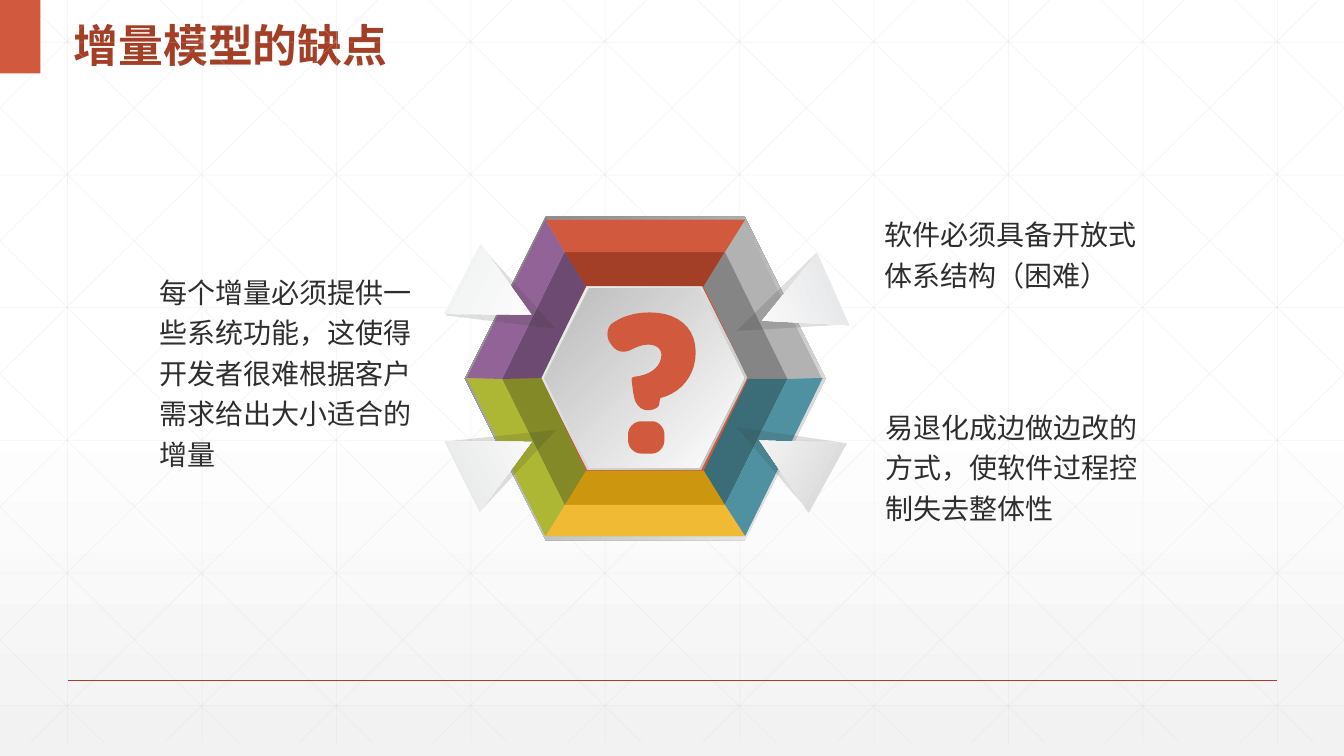
from dataclasses import dataclass

import lxml.etree
import pptx
import pptx.dml.color
import pptx.enum.shapes
import pptx.enum.text
import pptx.oxml.ns
import pptx.util

Inches = pptx.util.Inches
Pt = pptx.util.Pt
qn = pptx.oxml.ns.qn
Shape = pptx.enum.shapes.MSO_SHAPE
Point = tuple[float, float]
Stop = tuple[int, str, int]

WIDTH, HEIGHT = 13.33, 7.5
GRID_BOTTOM = 7.37
GRID_STEP = 4 / 3
FONT = "Noto Sans CJK SC"
COLORS = {
    "white": "FFFFFF", "paper": "F2F2F2", "grid": "D9D9D9", "ink": "2D2E2D",
    "red": "D15A3E", "dark red": "A43F27", "silver": "B2B2B2", "dark silver": "858585",
    "teal": "4F91A1", "dark teal": "3B6D79", "gold": "F0BA34", "dark gold": "CC960F",
    "green": "AEB733", "dark green": "828926", "purple": "926397", "dark purple": "6D4A71",
    "rim": "808080", "well": "BFBFBF", "well shade": "BABABA", "arrow shadow": "373937",
    "arrow 1": "D3D3D4", "arrow 2": "E2E3E4", "arrow 3": "E4E5E6", "arrow 4": "F0F1F1",
}


@dataclass
class Hexagon:
    left: float
    top: float
    width: float
    height: float
    color: str = ""
    stops: tuple[Stop, ...] = ()
    angle: int = 0


@dataclass
class Arrow:
    shadow: Point
    head: Point
    rotation: float
    tint: str


@dataclass
class Drawback:
    left: float
    top: float
    width: float
    height: float
    text: str


HEXAGONS = [
    Hexagon(4.61, 2.15, 3.58, 3.21, stops=((0, "rim", 100), (100, "paper", 100)), angle=45),
    Hexagon(4.65, 2.18, 3.5, 3.14, "silver"),
    Hexagon(5, 2.5, 2.8, 2.51, "red"),
    Hexagon(5.37, 2.83, 2.04, 1.83, stops=((0, "well", 100), (100, "paper", 100)), angle=225),
    Hexagon(5.4, 2.86, 1.98, 1.78, stops=((0, "white", 100), (100, "well shade", 100)), angle=225),
]
# Corners run clockwise from the upper left one.
INNER = [(5.81, 2.84), (6.98, 2.84), (7.42, 3.76), (6.98, 4.67), (5.81, 4.67), (5.37, 3.75)]
MIDDLE = [(5.6, 2.5), (7.19, 2.5), (7.81, 3.76), (7.19, 5.01), (5.6, 5.01), (4.98, 3.76)]
OUTER = [(5.41, 2.18), (7.39, 2.18), (8.16, 3.75), (7.39, 5.32), (5.41, 5.32), (4.63, 3.75)]
INNER_COLORS = ["dark red", "dark silver", "dark teal", "dark gold", "dark green", "dark purple"]
OUTER_COLORS = ["red", "", "teal", "gold", "green", "purple"]
ARROWS = [
    Arrow((7.37, 3.97), (7.48, 4.17), 298.8, "arrow 1"),
    Arrow((7.39, 2.56), (7.52, 2.64), 246.1, "arrow 2"),
    Arrow((4.67, 3.98), (4.54, 4.17), 63.5, "arrow 3"),
    Arrow((4.67, 2.51), (4.54, 2.56), 117.4, "arrow 4"),
]
# A step of one point is a line, a step of three points is a cubic curve.
QUESTION_DOT = [
    (6.36, 4.18), [(6.47, 4.18)], [(6.53, 4.18), (6.59, 4.24), (6.59, 4.31)],
    [(6.59, 4.37)], [(6.59, 4.44), (6.53, 4.5), (6.47, 4.5)],
    [(6.36, 4.5)], [(6.29, 4.5), (6.23, 4.44), (6.23, 4.37)],
    [(6.23, 4.31)], [(6.23, 4.24), (6.29, 4.18), (6.36, 4.18)],
]
QUESTION_HOOK = [
    (6.45, 3.1), [(6.72, 3.1), (6.9, 3.25), (6.9, 3.49)], [(6.9, 3.5)],
    [(6.9, 3.73), (6.75, 3.9), (6.55, 3.95)], [(6.55, 3.95), (6.54, 3.98), (6.54, 4.01)],
    [(6.53, 4.05), (6.48, 4.07), (6.42, 4.07)], [(6.36, 4.07), (6.3, 4.01), (6.29, 3.94)],
    [(6.28, 3.89)], [(6.27, 3.81), (6.26, 3.75), (6.27, 3.75)],
    [(6.28, 3.74)], [(6.49, 3.72), (6.56, 3.61), (6.56, 3.52)],
    [(6.56, 3.46), (6.51, 3.42), (6.43, 3.42)], [(6.37, 3.42), (6.32, 3.44), (6.26, 3.47)],
    [(6.2, 3.5), (6.13, 3.5), (6.08, 3.44)], [(6.05, 3.4)],
    [(6.01, 3.34), (6.02, 3.25), (6.07, 3.21)], [(6.17, 3.14), (6.29, 3.1), (6.45, 3.1)],
]
DRAWBACKS = [
    Drawback(8.78, 4, 2.68, 1.51, "易退化成边做边改的方式，使软件过程控制失去整体性"),
    Drawback(8.77, 2.09, 2.69, 1.25, "软件必须具备开放式体系结构（困难）"),
    Drawback(1.58, 2.66, 2.66, 2.32, "每个增量必须提供一些系统功能，这使得开发者很难根据客户需求给出大小适合的增量"),
]


def rgb(name: str) -> pptx.dml.color.RGBColor:
    return pptx.dml.color.RGBColor.from_string(COLORS[name])


def set_opacity(color_element, percent: int) -> None:
    lxml.etree.SubElement(color_element, qn("a:alpha"), val=str(percent * 1000))


def set_gradient(fill, owner, stops: tuple[Stop, ...], angle: int) -> None:
    """Fill with stops of position, colour and opacity; the angle runs clockwise."""
    fill.gradient()
    fill.gradient_angle = (360 - angle) % 360
    stop_list = next(owner.iter(qn("a:gsLst")))
    for old_stop in list(stop_list):
        stop_list.remove(old_stop)
    for position, name, opacity in stops:
        stop = lxml.etree.SubElement(stop_list, qn("a:gs"), pos=str(position * 1000))
        color = lxml.etree.SubElement(stop, qn("a:srgbClr"), val=COLORS[name])
        if opacity < 100:
            set_opacity(color, opacity)


def finish(shape, color: str = "") -> None:
    """Remove the shadow and outline, and apply a plain fill if one is named."""
    shape.shadow.inherit = False
    shape.line.fill.background()
    if color:
        shape.fill.solid()
        shape.fill.fore_color.rgb = rgb(color)


def add_preset(slide, kind, left: float, top: float, width: float, height: float, color: str = ""):
    shape = slide.shapes.add_shape(kind, Inches(left), Inches(top), Inches(width), Inches(height))
    finish(shape, color)
    return shape


def add_line(slide, start: Point, end: Point, color: str, weight: float, opacity: int = 100) -> None:
    line = slide.shapes.add_connector(
        pptx.enum.shapes.MSO_CONNECTOR.STRAIGHT, *(Inches(value) for value in (*start, *end)))
    line.line.color.rgb = rgb(color)
    line.line.width = Pt(weight)
    properties = line._element.spPr
    if opacity < 100:
        set_opacity(next(properties.iter(qn("a:srgbClr"))), opacity)
    lxml.etree.SubElement(properties, qn("a:effectLst"))


def add_grid(slide) -> None:
    ends = []
    for column in range(10):
        x = 0.67 + column * GRID_STEP
        ends.append(((x, 0), (x, GRID_BOTTOM)))
    for row in range(6):
        y = 0.42 + row * 1.316
        ends.append(((0, y), (WIDTH, y)))
    slope = GRID_BOTTOM / 7.45
    for index in range(-5, 10):
        x = 0.25 + index * GRID_STEP
        start = (max(x, 0), max(-x, 0) * slope)
        end_x = min(x + 7.45, WIDTH)
        end = (end_x, (end_x - x) * slope)
        ends.append((start, end))
        ends.append(((WIDTH - start[0], start[1]), (WIDTH - end[0], end[1])))
    for start, end in ends:
        add_line(slide, start, end, "grid", 0.5, 25)


def flatten(outline: list) -> list[Point]:
    """Turn lines and cubic curves into a list of points."""
    points = [outline[0]]
    for step in outline[1:]:
        if len(step) == 1:
            points += step
            continue
        corners = [points[-1], *step]
        for t in (part / 10 for part in range(1, 11)):
            weights = ((1 - t) ** 3, 3 * t * (1 - t) ** 2, 3 * t * t * (1 - t), t ** 3)
            points.append(tuple(sum(w * c[axis] for w, c in zip(weights, corners)) for axis in (0, 1)))
    return points


def add_outline(slide, contours: list[list[Point]], color: str) -> None:
    scaled = [[(Inches(x), Inches(y)) for x, y in contour] for contour in contours]
    builder = slide.shapes.build_freeform(*scaled[0][0])
    builder.add_line_segments(scaled[0][1:], close=True)
    for contour in scaled[1:]:
        builder.move_to(*contour[0])
        builder.add_line_segments(contour[1:], close=True)
    finish(builder.convert_to_shape(), color)


def add_ring(slide, near: list[Point], far: list[Point], colors: list[str]) -> None:
    for side, color in enumerate(colors):
        following = (side + 1) % 6
        if color:
            add_outline(slide, [[near[side], near[following], far[following], far[side]]], color)


def add_arrow(slide, arrow: Arrow) -> None:
    shadow = add_preset(slide, Shape.ISOSCELES_TRIANGLE, *arrow.shadow, 0.77, 1.03, "arrow shadow")
    set_opacity(next(shadow._element.spPr.iter(qn("a:srgbClr"))), 16)
    head = add_preset(slide, Shape.ISOSCELES_TRIANGLE, *arrow.head, 0.78, 0.77)
    set_gradient(head.fill, head._element, ((0, "white", 100), (100, arrow.tint, 100)), 90)
    shadow.rotation = head.rotation = arrow.rotation


def add_text(para, text: str, size: int, latin: str, color: str, bold: bool = False) -> None:
    span = para.add_run()
    span.text = text
    span.font.size = Pt(size)
    span.font.bold = bold
    span.font.color.rgb = rgb(color)
    span.font.name = latin
    lxml.etree.SubElement(span._r.get_or_add_rPr(), qn("a:ea"), typeface=FONT)


def add_title(slide, text: str) -> None:
    title = slide.shapes.title
    title.left, title.top, title.width, title.height = (Inches(v) for v in (0.63, 0, 5.69, 0.73))
    frame = title.text_frame
    frame.auto_size = pptx.enum.text.MSO_AUTO_SIZE.NONE
    frame.vertical_anchor = pptx.enum.text.MSO_ANCHOR.MIDDLE
    para = frame.paragraphs[0]
    para.alignment = pptx.enum.text.PP_ALIGN.LEFT
    para.line_spacing = 1.3
    add_text(para, text, 32, "Arial", "dark red", True)


def add_drawback(slide, item: Drawback) -> None:
    box = slide.shapes.add_textbox(*(Inches(v) for v in (item.left, item.top, item.width, item.height)))
    frame = box.text_frame
    frame.word_wrap = True
    frame.margin_left = frame.margin_right = frame.margin_top = frame.margin_bottom = 0
    para = frame.paragraphs[0]
    para.line_spacing = Pt(29)
    add_text(para, item.text, 20, FONT, "ink")


def main() -> None:
    deck = pptx.Presentation()
    deck.slide_width, deck.slide_height = Inches(WIDTH), Inches(HEIGHT)
    page = deck.slides.add_slide(deck.slide_layouts.get_by_name("Title Only"))
    set_gradient(page.background.fill, page._element,
                 ((0, "white", 100), (53, "white", 100), (100, "paper", 65)), 90)
    add_grid(page)
    add_line(page, (0.67, 6.75), (12.67, 6.75), "dark red", 1)
    add_preset(page, Shape.RECTANGLE, 0, 0, 0.4, 0.73, "red")
    add_title(page, "增量模型的缺点")
    for item in HEXAGONS:
        hexagon = add_preset(page, Shape.HEXAGON, item.left, item.top, item.width, item.height, item.color)
        if item.stops:
            set_gradient(hexagon.fill, hexagon._element, item.stops, item.angle)
    add_ring(page, INNER, MIDDLE, INNER_COLORS)
    add_ring(page, MIDDLE, OUTER, OUTER_COLORS)
    for arrow in ARROWS:
        add_arrow(page, arrow)
    add_outline(page, [flatten(QUESTION_DOT), flatten(QUESTION_HOOK)], "red")
    for item in DRAWBACKS:
        add_drawback(page, item)
    deck.save("out.pptx")


if __name__ == "__main__":
    main()
